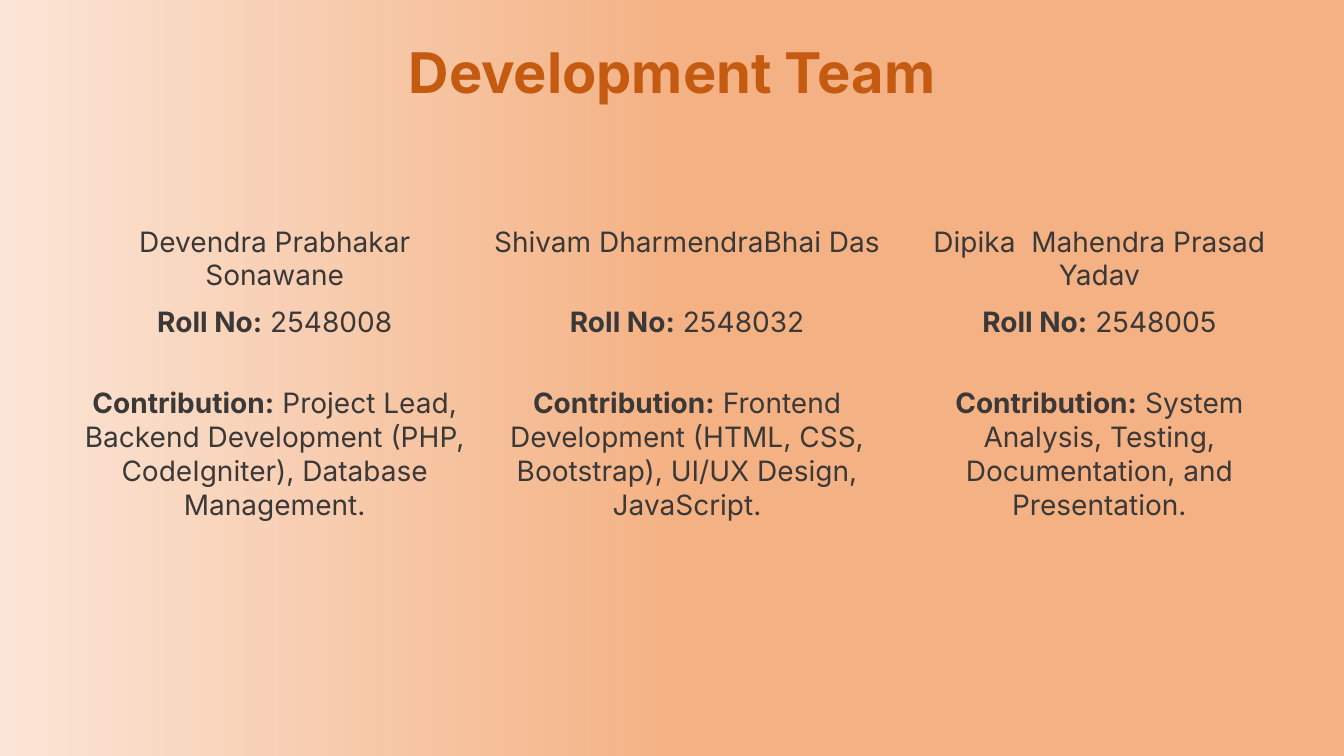
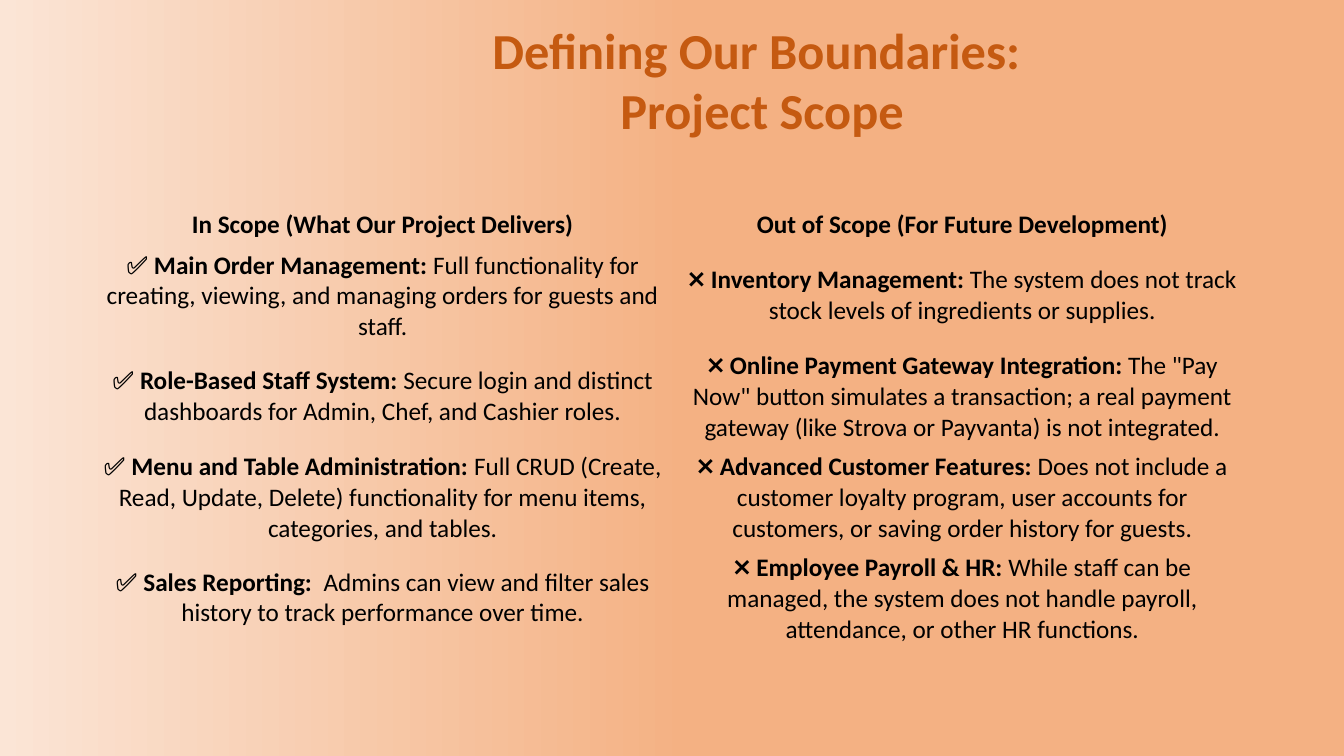
import copy

import pptx
import pptx.dml.color
import pptx.enum.dml
import pptx.enum.shapes
import pptx.enum.text
import pptx.oxml.ns
import pptx.util

RGB = pptx.dml.color.RGBColor
Inches = pptx.util.Inches
Pt = pptx.util.Pt
qn = pptx.oxml.ns.qn
ANCHOR = pptx.enum.text.MSO_ANCHOR
CENTER = pptx.enum.text.PP_ALIGN.CENTER

WIDE, HIGH = 13.33, 7.5
RUST = RGB(0xC5, 0x5A, 0x11)
PEACH = RGB(0xF4, 0xB1, 0x83)
CREAM = RGB(0xFB, 0xE5, 0xD6)
GREY = RGB(0x3B, 0x38, 0x38)
BLACK = RGB(0, 0, 0)
FADE = [(0, PEACH), (0.5, PEACH), (1, CREAM)]
PLAIN = "{2D5ABB26-0587-4C30-8999-92F81FD0307C}"  # no style, no grid

# Each cell is a list of (words, bold) runs.
TEAM = [
    ("Devendra Prabhakar Sonawane", "2548008",
     "Project Lead, Backend Development (PHP, CodeIgniter), Database Management."),
    ("Shivam DharmendraBhai Das", "2548032",
     "Frontend Development (HTML, CSS, Bootstrap), UI/UX Design, JavaScript."),
    ("Dipika  Mahendra Prasad Yadav", "2548005",
     "System Analysis, Testing, Documentation, and Presentation."),
]
HEADS = ["In Scope (What Our Project Delivers)",
         "Out of Scope (For Future Development)"]
SCOPE = [
    [("Main Order Management:", " Full functionality for creating, viewing, "
      "and managing orders for guests and staff."),
     ("Inventory Management:", " The system does not track stock levels of "
      "ingredients or supplies.")],
    [("Role-Based Staff System:", " Secure login and distinct dashboards for "
      "Admin, Chef, and Cashier roles."),
     ("Online Payment Gateway Integration:", " The \"Pay Now\" button simulates "
      "a transaction; a real payment gateway (like Strova or Payvanta) is not "
      "integrated.")],
    [("Menu and Table Administration:", " Full CRUD (Create, Read, Update, "
      "Delete) functionality for menu items, categories, and tables."),
     ("Advanced Customer Features:", " Does not include a customer loyalty "
      "program, user accounts for customers, or saving order history for guests.")],
    [("Sales Reporting:", "  Admins can view and filter sales history to track "
      "performance over time."),
     ("Employee Payroll & HR:", " While staff can be managed, the system does "
      "not handle payroll, attendance, or other HR functions.")],
]
MARKS = ["✅ ", "❌ "]


def write(para, runs, font, size, color):
    para.alignment = CENTER
    for words, bold in runs:
        run = para.add_run()
        run.text = words
        run.font.name, run.font.size, run.font.bold = font, Pt(size), bold
        run.font.color.rgb = color


def start(deck, lines, box, font, size):
    """Add a slide with the shared backdrop and a title."""
    slide = deck.slides.add_slide(deck.slide_layouts[6])
    back = slide.shapes.add_shape(pptx.enum.shapes.MSO_SHAPE.RECTANGLE,
                                  0, 0, Inches(13.65), Inches(HIGH))
    back.shadow.inherit = False
    back.line.fill.background()
    back.fill.gradient()
    back.fill.gradient_angle = 180
    stops = back.element.spPr.find(qn("a:gradFill")).find(qn("a:gsLst"))
    stops.append(copy.deepcopy(stops[-1]))
    for stop, (place, color) in zip(back.fill.gradient_stops, FADE):
        stop.position = place
        stop.color.rgb = color

    frame = slide.shapes.add_textbox(*map(Inches, box)).text_frame
    frame.word_wrap = True
    for i, line in enumerate(lines):
        para = frame.add_paragraph() if i else frame.paragraphs[0]
        write(para, [(line, True)], font, size, RUST)
    return slide


def grid(slide, rows, spot, col, tall, anchor, font, size, color):
    """Add an unruled table with equal columns."""
    count = len(rows[0])
    table = slide.shapes.add_table(
        len(rows), count, *map(Inches, (*spot, col * count, sum(tall)))).table
    table.first_row = table.horz_banding = False
    table._tbl.tblPr.find(qn("a:tableStyleId")).text = PLAIN
    for column in table.columns:
        column.width = Inches(col)
    for r, row in enumerate(rows):
        table.rows[r].height = Inches(tall[r])
        for c, runs in enumerate(row):
            cell = table.cell(r, c)
            cell.fill.background()
            cell.vertical_anchor = anchor
            write(cell.text_frame.paragraphs[0], runs, font, size, color)


def main():
    deck = pptx.Presentation()
    deck.slide_width, deck.slide_height = Inches(WIDE), Inches(HIGH)

    slide = start(deck, ["Development Team"], (3.84, 0.32, 5.65, 0.77), "Inter", 40)
    rows = [
        [[(name, False)] for name, _, _ in TEAM],
        [[("Roll No:", True), (" " + roll, False)] for _, roll, _ in TEAM],
        [[("Contribution:", True), (" " + work, False)] for _, _, work in TEAM],
    ]
    grid(slide, rows, (0.68, 2.18), 4.09, [0.8, 0.8, 1.55], ANCHOR.TOP,
         "Inter", 20, GREY)

    slide = start(deck, ["Defining Our Boundaries: ", "Project Scope"],
                  (4.46, 0.14, 6.2, 1.31), "Calibri", 36)
    rows = [[[(head, True)] for head in HEADS]]
    for pair in SCOPE:
        rows.append([[(mark, False), (name, True), (rest, False)]
                     for mark, (name, rest) in zip(MARKS, pair)])
    grid(slide, rows, (0.92, 2.03), 5.75, [0.4] + [1] * len(SCOPE), ANCHOR.MIDDLE,
         "Calibri", 18, BLACK)

    deck.save("out.pptx")


if __name__ == "__main__":
    main()
